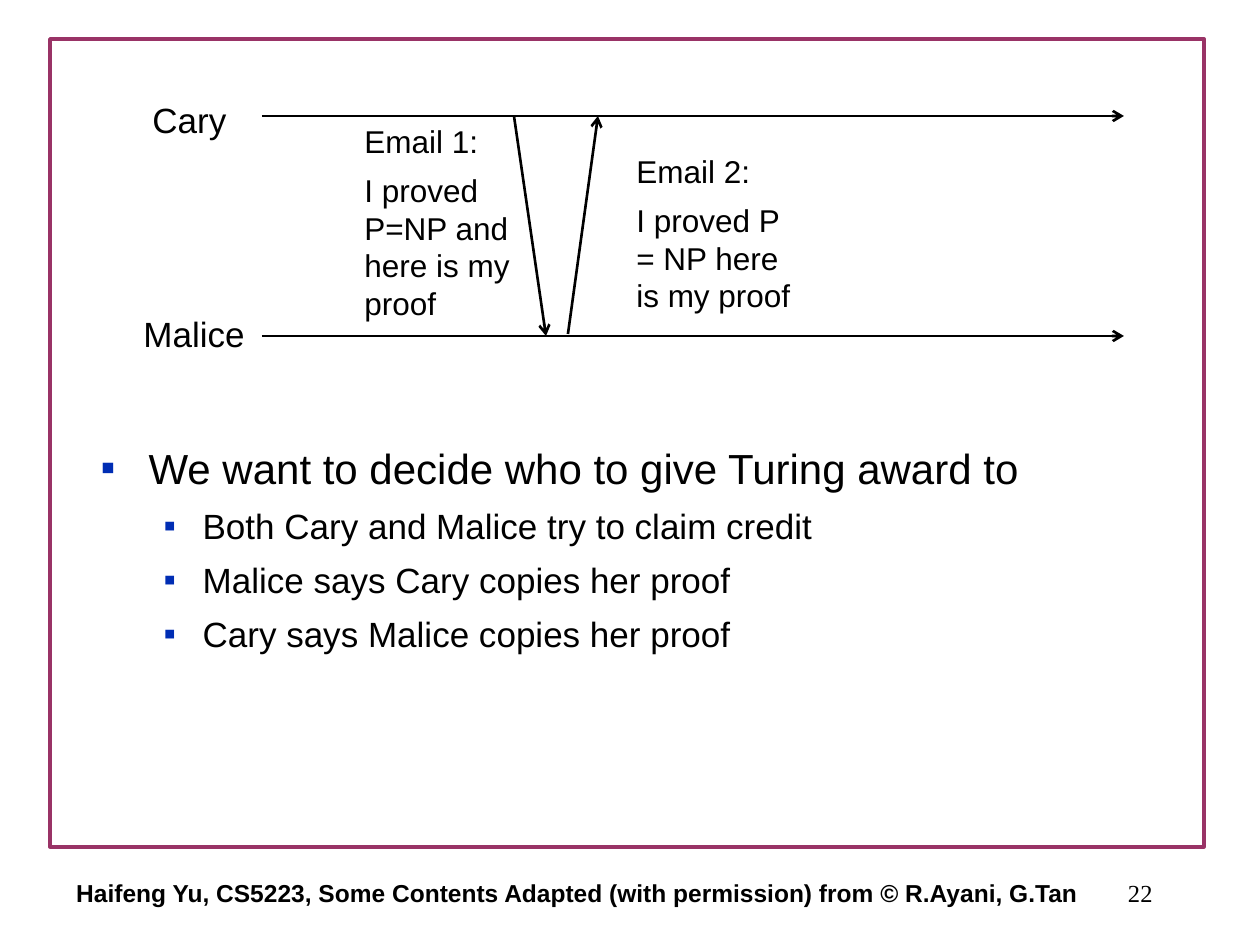
from lxml import etree
from pptx import Presentation
from pptx.dml.color import RGBColor
from pptx.enum.shapes import MSO_CONNECTOR, MSO_SHAPE
from pptx.enum.text import MSO_ANCHOR, MSO_AUTO_SIZE, PP_ALIGN
from pptx.oxml.ns import qn
from pptx.util import Pt

PIXEL = 914400 // 126
STRAIGHT = MSO_CONNECTOR.STRAIGHT
RECTANGLE = MSO_SHAPE.RECTANGLE
TOP, MIDDLE = MSO_ANCHOR.TOP, MSO_ANCHOR.MIDDLE
LEFT, CENTER, RIGHT = PP_ALIGN.LEFT, PP_ALIGN.CENTER, PP_ALIGN.RIGHT
NO_AUTOFIT = MSO_AUTO_SIZE.NONE


def color(hex_text):
    """Turn a hex string into a colour."""
    return RGBColor.from_string(hex_text)


def write(box, lines, sizes, font="Arial", bold=False, align=LEFT):
    """Fill a box with one paragraph per line, spaced by the line height."""
    frame = box.text_frame
    frame.text = "\n".join(lines)
    for index, (para, size) in enumerate(zip(frame.paragraphs, sizes)):
        para.alignment = align
        para.space_before = Pt(round(size * 0.345, 1) if index else 0)
        for span in para.runs:
            span.font.name = font
            span.font.size = Pt(size)
            span.font.bold = bold
            span.font.color.rgb = color("000000")


deck = Presentation()
deck.slide_width, deck.slide_height = 1260 * PIXEL, 945 * PIXEL
page = deck.slides.add_slide(deck.slide_layouts[1])
shapes = page.shapes
title = shapes.title.element
title.getparent().remove(title)

# Frame
frame_box = shapes.add_shape(RECTANGLE, *(n * PIXEL for n in (50, 39, 1154, 808)))
frame_box.shadow.inherit = False
frame_box.fill.background()
frame_box.line.color.rgb = color("993366")
frame_box.line.width = Pt(2)

# Timelines and messages
cary_y, malice_y = 116, 336
arrows = [
    (262, cary_y, 1124, cary_y),
    (262, malice_y, 1124, malice_y),
    (514, cary_y, 546, malice_y),
    (568, malice_y - 2, 598, cary_y),
]
for ends in arrows:
    arrow = shapes.add_connector(STRAIGHT, *(n * PIXEL for n in ends))
    arrow.line.color.rgb = color("000000")
    arrow.line.width = Pt(1.5)
    etree.SubElement(arrow.line._get_or_add_ln(), qn("a:tailEnd"), type="arrow")
    etree.SubElement(arrow.element.spPr, qn("a:effectLst"))

# Labels, message texts and footer
texts = [
    ((140, 92, 101, 55), ["Cary"], 20, False, TOP, {}),
    ((131, 306, 129, 55), ["Malice"], 20, False, TOP, {}),
    ((352, 116, 199, 213), ["Email 1: ", "I proved P=NP and here is my proof"], 18, True, TOP, {}),
    ((624, 146, 189, 175), ["Email 2:", "I proved P = NP here is my proof"], 18, True, TOP, {}),
    ((42, 861, 1071, 63),
     ["Haifeng Yu, CS5223, Some Contents Adapted (with permission) from © R.Ayani, G.Tan"],
     14, False, MIDDLE, {"bold": True, "align": CENTER}),
    ((903, 861, 262, 63), ["22"], 14, False, MIDDLE,
     {"font": "Times New Roman", "align": RIGHT}),
]
for place, lines, size, wrap, anchor, style in texts:
    box = shapes.add_textbox(*(n * PIXEL for n in place))
    box.text_frame.word_wrap = wrap
    box.text_frame.vertical_anchor = anchor
    write(box, lines, [size] * len(lines), **style)

# Bulleted points
body = page.placeholders[1]
body.left, body.top, body.width, body.height = (n * PIXEL for n in (88, 436, 1071, 179))
body.text_frame.auto_size = NO_AUTOFIT
body.text_frame.vertical_anchor = TOP
points = [
    "We want to decide who to give Turing award to",
    "Both Cary and Malice try to claim credit",
    "Malice says Cary copies her proof",
    "Cary says Malice copies her proof",
]
write(body, points, [24, 20, 20, 20])
for index, para in enumerate(body.text_frame.paragraphs):
    para.level = min(index, 1)
    margin, hanging = ((48, 48), (102, 39))[para.level]
    props = para._p.get_or_add_pPr()
    props.set("marL", str(margin * PIXEL))
    props.set("indent", str(-hanging * PIXEL))
    bullet_color = etree.SubElement(props, qn("a:buClr"))
    etree.SubElement(bullet_color, qn("a:srgbClr"), val="002DB4")
    etree.SubElement(props, qn("a:buFont"), typeface="Arial")
    etree.SubElement(props, qn("a:buChar"), char="▪")

deck.save("out.pptx")
